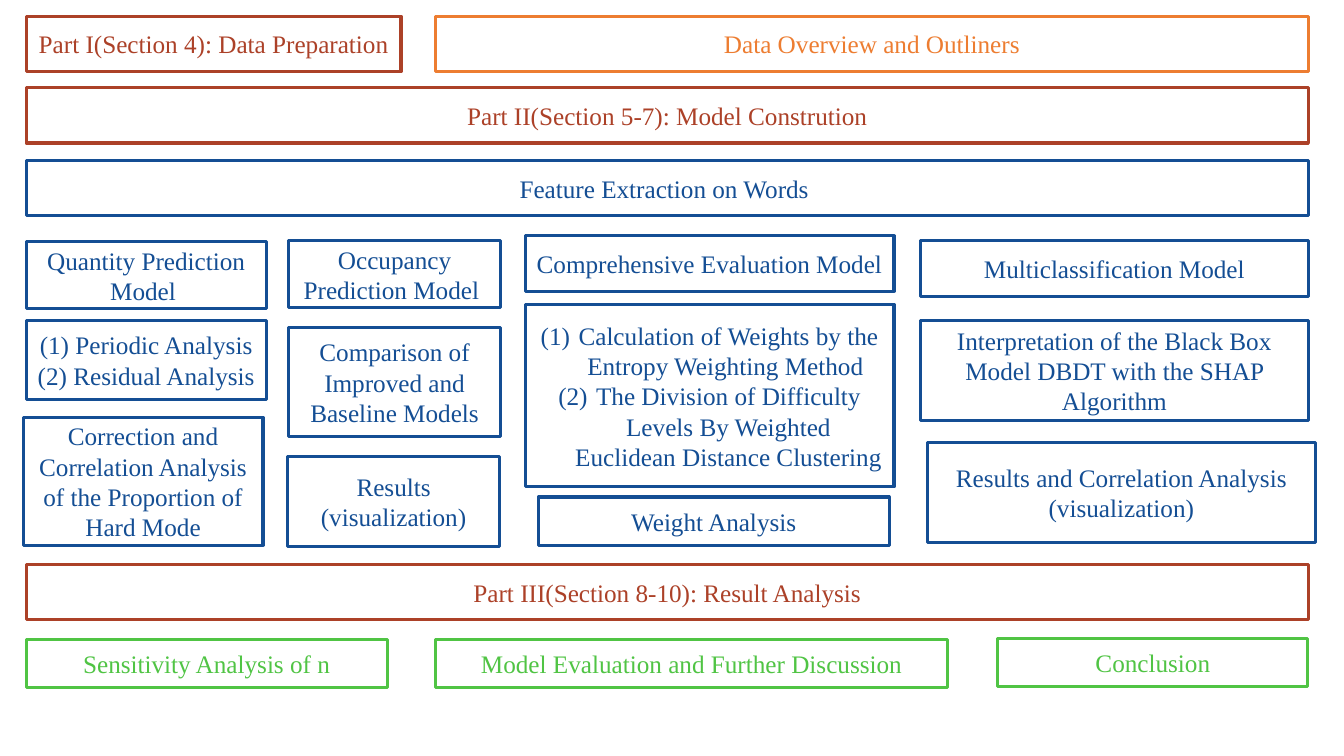
import pptx
import pptx.util
import pptx.dml.color
import pptx.enum.shapes
import pptx.enum.text
import pptx.oxml.ns
from lxml import etree

Pt = pptx.util.Pt
COLORS = {"red": "AC4128", "orange": "ED7D31", "blue": "144E94", "green": "50C444"}
FONT = "Times New Roman"
LEFT, WIDTH = 18.7, 915.9
BAND_H, RESULT_H = 39.6, 34.6

MODELS = [
    (0, 4.3, 171.4, [
        (0, 0, 0, 47.5, "Quantity Prediction Model "),
        (0, 56.2, 0, 56.2, "(1) Periodic Analysis\n(2) Residual Analysis"),
        (-2.2, 125.3, 0, 91.4,
         "Correction and Correlation Analysis of the Proportion of Hard Mode"),
    ]),
    (187.2, 3.6, 151.9, [
        (0, 0, 0, 47.5, "Occupancy Prediction Model "),
        (0, 61.9, 0, 77.8, "Comparison of Improved and Baseline Models"),
        (-0.7, 154.1, 0, 64.1, "Results\n(visualization)"),
    ]),
    (356.4, 0, 263.5, [
        (0, 0, 0, BAND_H, "Comprehensive Evaluation Model"),
        (0, 49, 0, 130.3,
         ["Calculation of Weights by the Entropy Weighting Method ",
          "The Division of Difficulty Levels By Weighted Euclidean Distance Clustering"]),
        (9.4, 186.5, -12.9, RESULT_H, "Weight Analysis"),
    ]),
    (638.7, 3.6, 277.2, [
        (0, 0, 0, BAND_H, "Multiclassification Model"),
        (0, 56.9, 0, 71.3,
         "Interpretation of the Black Box Model DBDT with the SHAP Algorithm"),
        (5, 144, 0, 71.3, "Results and Correlation Analysis\n(visualization)"),
    ]),
]


def write_text(tf, text, color, size=18, numbered=False, spacing=0):
    tf.word_wrap = True
    tf.vertical_anchor = pptx.enum.text.MSO_ANCHOR.MIDDLE
    lines = text if numbered else text.split("\n")
    for i, line in enumerate(lines):
        p = tf.add_paragraph() if i else tf.paragraphs[0]
        p.alignment = pptx.enum.text.PP_ALIGN.CENTER
        if spacing:
            p.space_before = p.space_after = Pt(spacing)
        if numbered:
            pPr = p._p.get_or_add_pPr()
            pPr.set("marL", str(Pt(27)))
            pPr.set("indent", str(-Pt(27)))
            bullet = etree.SubElement(pPr, pptx.oxml.ns.qn("a:buAutoNum"))
            bullet.set("type", "arabicParenBoth")
        r = p.add_run()
        r.text = line
        r.font.name = FONT
        r.font.size = Pt(size)
        r.font.color.rgb = pptx.dml.color.RGBColor.from_string(COLORS[color])


def add_box(s, x, y, w, h, text, color, **fmt):
    sp = s.shapes.add_shape(pptx.enum.shapes.MSO_SHAPE.RECTANGLE,
                            Pt(x), Pt(y), Pt(w), Pt(h))
    sp.shadow.inherit = False
    sp.fill.background()
    sp.line.color.rgb = pptx.dml.color.RGBColor.from_string(COLORS[color])
    sp.line.width = Pt(2.25)
    write_text(sp.text_frame, text, color, **fmt)


def add_preparation(s, x, y, w):
    add_box(s, x, y, 267.8, BAND_H, "Part I(Section 4): Data Preparation ", "red")
    add_box(s, x + 292.4, y, w - 292.4, BAND_H, "Data Overview and Outliners", "orange")


def add_construction(s, x, y, w):
    add_box(s, x, y, w, BAND_H, "Part II(Section 5-7): Model Constrution", "red")
    add_box(s, x, y + 51.9, w, BAND_H, "Feature Extraction on Words ", "blue")


def add_model_column(s, x, y, w, cells):
    for dx, dy, dw, h, text in cells:
        add_box(s, x + dx, y + dy, w + dw, h, text, "blue",
                numbered=isinstance(text, list))


def add_results(s, x, y, w):
    add_box(s, x, y, w, BAND_H, "Part III(Section 8-10): Result Analysis", "red")
    y += 53.3
    add_box(s, x, y, 257.8, RESULT_H, "Sensitivity Analysis of n", "green")
    add_box(s, x + 292.4, y, 365.8, RESULT_H,
            "Model Evaluation and Further Discussion", "green", spacing=6)
    add_box(s, x + w - 221.8, y - 0.7, 221.4, RESULT_H, "Conclusion", "green", spacing=6)


def main():
    prs = pptx.Presentation()
    prs.slide_width, prs.slide_height = Pt(960), Pt(540)
    s = prs.slides.add_slide(prs.slide_layouts[6])
    add_preparation(s, LEFT, 11.5, WIDTH)
    add_construction(s, LEFT, 62.6, WIDTH)
    for dx, dy, w, cells in MODELS:
        add_model_column(s, LEFT + dx, 168.5 + dy, w, cells)
    add_results(s, LEFT, 403.2, WIDTH)
    prs.save("out.pptx")


if __name__ == "__main__":
    main()
